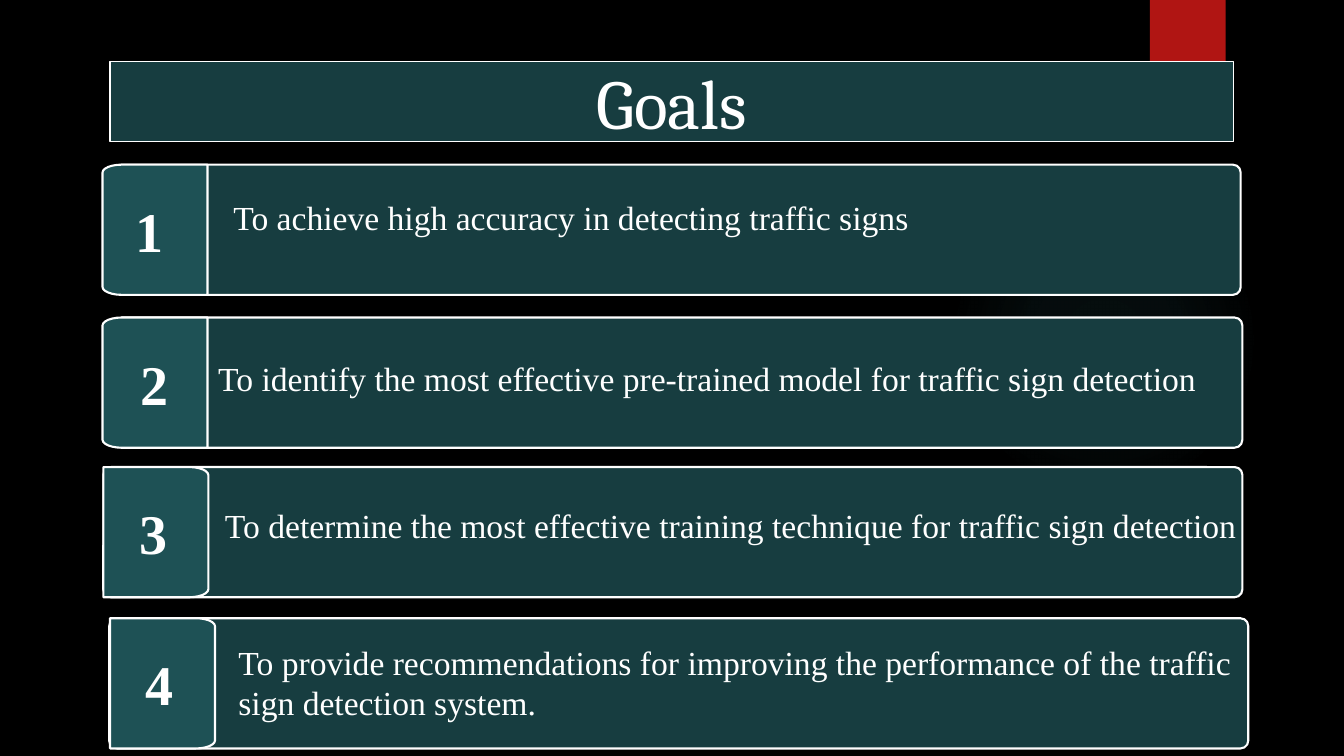
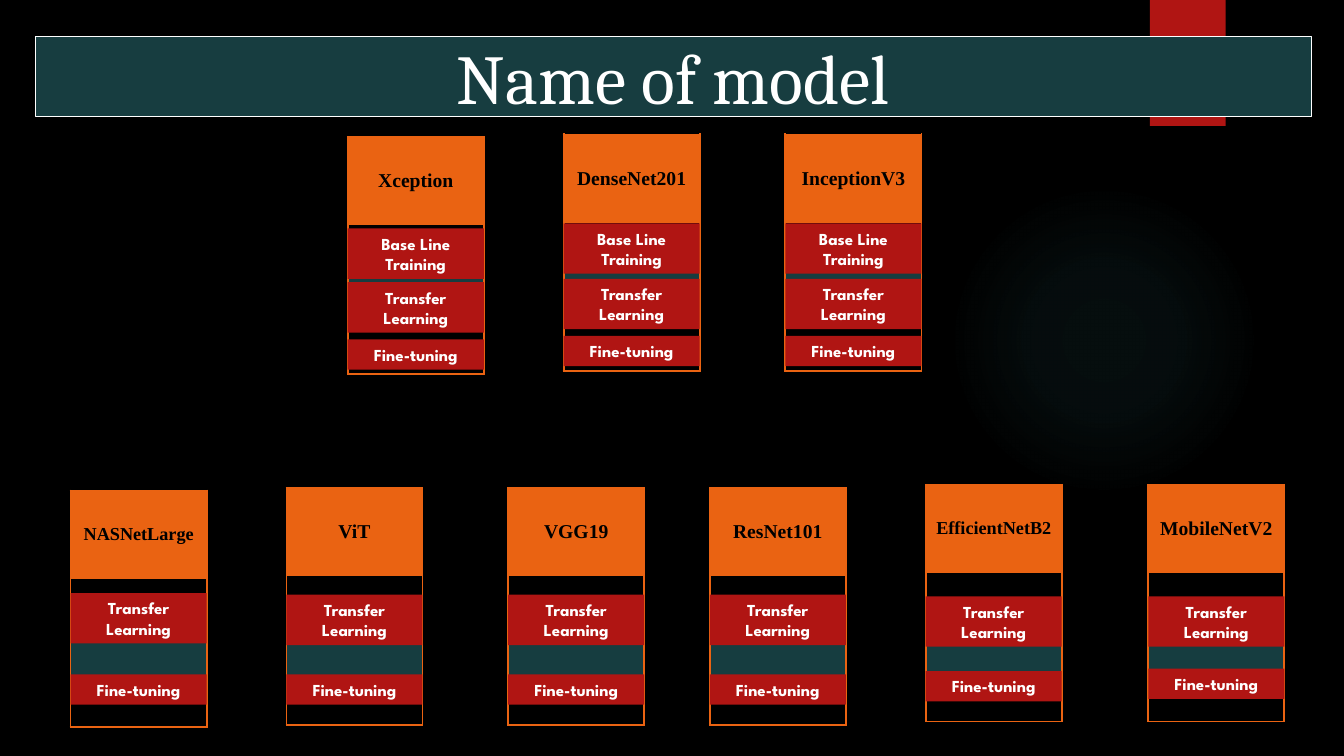
from math import cos, pi, sin

from pptx import Presentation
from pptx.dml.color import RGBColor
from pptx.enum.shapes import MSO_SHAPE
from pptx.enum.text import MSO_ANCHOR, PP_ALIGN
from pptx.oxml import parse_xml
from pptx.oxml.ns import nsdecls
from pptx.util import Inches, Pt

BLACK = RGBColor(0x00, 0x00, 0x00)
WHITE = RGBColor(0xFF, 0xFF, 0xFF)
RED = RGBColor(0xB0, 0x15, 0x13)
ORANGE = RGBColor(0xEA, 0x63, 0x12)
TEAL = RGBColor(0x17, 0x3D, 0x40)
TAB_TEAL = RGBColor(0x1E, 0x51, 0x55)
ROW_TEAL = RGBColor(0x16, 0x3D, 0x40)
SERIF = "Times New Roman"
NO_GRID = "{2D5ABB26-0587-4C30-8999-92F81FD0307C}"

prs = Presentation()
prs.slide_width, prs.slide_height = Inches(13.33), Inches(7.5)
COL, ROW = prs.slide_width / 160, prs.slide_height / 90


def paint(sp, fill=None, line=None, width=1.5):
    sp.shadow.inherit = False
    if fill is None:
        sp.fill.background()
    else:
        sp.fill.solid()
        sp.fill.fore_color.rgb = fill
    if line is None:
        sp.line.fill.background()
    else:
        sp.line.color.rgb = line
        sp.line.width = Pt(width)


def write(tf, text, size, font=SERIF, color=WHITE, bold=False,
          align=PP_ALIGN.LEFT, anchor=MSO_ANCHOR.TOP, before=0):
    tf.word_wrap = True
    tf.vertical_anchor = anchor
    p = tf.paragraphs[0]
    p.alignment = align
    p.space_before = Pt(before)
    r = p.add_run()
    r.text = text
    r.font.size, r.font.name, r.font.bold = Pt(size), font, bold
    r.font.color.rgb = color


bg = prs.slide_master.background.fill
bg.solid()
bg.fore_color.rgb = BLACK
centred = dict(align=PP_ALIGN.CENTER, anchor=MSO_ANCHOR.MIDDLE)

slides = []
for title, x, y, w in [("Goals", 13.1, 7.3, 133.8), ("Name of model", 4.2, 4.4, 151.9)]:
    s = prs.slides.add_slide(prs.slide_layouts[6])
    glow = s.shapes.add_shape(MSO_SHAPE.OVAL, int(112.9 * COL), int(22 * ROW), int(37 * COL), int(37 * ROW))
    paint(glow)
    stops = "".join(
        f'<a:gs pos="{pos}000"><a:srgbClr val="50B9C1"><a:alpha val="{alpha}000"/></a:srgbClr></a:gs>'
        for pos, alpha in [(0, 7), (36, 6), (69, 0)])
    spPr = glow._element.spPr
    spPr.replace(spPr.find("{*}noFill"), parse_xml(
        f'<a:gradFill {nsdecls("a")}><a:gsLst>{stops}</a:gsLst><a:path path="circle">'
        '<a:fillToRect l="50000" t="50000" r="50000" b="50000"/></a:path></a:gradFill>'))
    ribbon = s.shapes.add_shape(MSO_SHAPE.RECTANGLE, int(136.9 * COL), 0, int(9 * COL), int(15 * ROW))
    paint(ribbon, RED)
    band = s.shapes.add_shape(MSO_SHAPE.RECTANGLE, int(x * COL), int(y * ROW), int(w * COL), int(9.5 * ROW))
    paint(band, TEAL, WHITE, 0.75)
    write(band.text_frame, title, 50, "Cambria", before=10, **centred)
    slides.append(s)

s = slides[0]
TAB_W, BAR_H, RX, RY = 12.5, 15.5, 2.3, 0.95
angles = [-pi / 2 + i * pi / 12 for i in range(7)]
corner = [(TAB_W - RX + RX * cos(a), RY + RY * sin(a)) for a in angles]
outline = [(0, 0)] + corner + [(px, BAR_H - py) for px, py in reversed(corner)] + [(0, BAR_H)]
goals = [
    ("To achieve high accuracy in detecting traffic signs",
     19.6, 13.6, 134.1, 12.2, True, (15, 22.8), (26.6, 22.9)),
    ("To identify the most effective pre-trained model for traffic sign detection",
     37.8, 13.6, 134.3, 12.2, True, (15.6, 41), (24.8, 42)),
    ("To determine the most effective training technique for traffic sign detection",
     55.6, 12.3, 135.6, 12.3, False, (15.4, 58.7), (25.6, 59.5)),
    ("To provide recommendations for improving the performance of the traffic sign detection system.",
     73.6, 13, 135.6, 13.1, False, (16.1, 76.7), (27.2, 75.8)),
]
for n, (goal, y, x, w, tab_x, round_left, num_at, goal_at) in enumerate(goals, 1):
    bar = s.shapes.add_shape(MSO_SHAPE.ROUNDED_RECTANGLE, int(x * COL), int(y * ROW), int(w * COL), int(BAR_H * ROW))
    bar.adjustments[0] = 0.06
    paint(bar, TEAL, WHITE)
    pts = [(int((tab_x + (TAB_W - px if round_left else px)) * COL), int((y + py) * ROW)) for px, py in outline]
    fb = s.shapes.build_freeform(*pts[0])
    fb.add_line_segments(pts[1:], close=True)
    paint(fb.convert_to_shape(), TAB_TEAL, WHITE)
    for text, (tx, ty), tw, th, size, bold in [(str(n), num_at, 3.5, 9.2, 40, True),
                                               (goal, goal_at, 124.5, 6, 24, False)]:
        tb = s.shapes.add_textbox(int(tx * COL), int(ty * ROW), int(tw * COL), int(th * ROW))
        write(tb.text_frame, text, size, bold=bold)

s = slides[1]
CARD_W, ROWS = 16.2, [10.5, 5.9, 5.9, 5.9]
steps = [("Base Line Training", 6), ("Transfer Learning", 6), ("Fine-tuning", 3.6)]
models = [
    ("Xception", 14, 41.4, 16.3, (27.2, 33.6, 40.4)),
    ("DenseNet201", 14, 67.1, 16, (26.6, 33.2, 40)),
    ("InceptionV3", 14, 93.5, 16, (26.6, 33.2, 40)),
    ("NASNetLarge", 13, 8.4, 58.4, (70.6, 80.3)),
    ("ViT", 14, 34.1, 58.1, (70.8, 80.3)),
    ("VGG19", 14, 60.5, 58.1, (70.8, 80.3)),
    ("ResNet101", 14, 84.5, 58.1, (70.8, 80.3)),
    ("EfficientNetB2", 13, 110.2, 57.7, (71, 79.9)),
    ("MobileNetV2", 14, 136.7, 57.7, (71, 79.6)),
]
for name, size, x, y, tops in models:
    frame = s.shapes.add_table(4, 1, int(x * COL), int(y * ROW), int(CARD_W * COL), int(sum(ROWS) * ROW))
    tbl = frame.table
    tbl.first_row = tbl.horz_banding = False
    tbl._tbl.tblPr.find("{*}tableStyleId").text = NO_GRID
    for i, (h, fill, sides) in enumerate(zip(ROWS, [ORANGE, None, ROW_TEAL, None], ["LRT", "LR", "LR", "LRB"])):
        tbl.rows[i].height = int(h * ROW)
        cell = tbl.cell(i, 0)
        cell.margin_left = cell.margin_right = Inches(0.05)
        tcPr = cell._tc.get_or_add_tcPr()
        for side in sides:
            tcPr.append(parse_xml(
                f'<a:ln{side} {nsdecls("a")} w="{Pt(1.5)}"><a:solidFill>'
                f'<a:srgbClr val="{ORANGE}"/></a:solidFill></a:ln{side}>'))
        if fill is None:
            cell.fill.background()
        else:
            cell.fill.solid()
            cell.fill.fore_color.rgb = fill
    head = tbl.cell(0, 0)
    write(head.text_frame, name, size, color=BLACK, bold=True, align=PP_ALIGN.CENTER)
    head.vertical_anchor = MSO_ANCHOR.MIDDLE
    for (step, h), top in zip(steps[-len(tops):], tops):
        label = s.shapes.add_shape(MSO_SHAPE.RECTANGLE, int(x * COL), int(top * ROW), int(CARD_W * COL), int(h * ROW))
        paint(label, RED)
        write(label.text_frame, step, 12, "League Spartan", bold=True, **centred)

prs.save("out.pptx")
